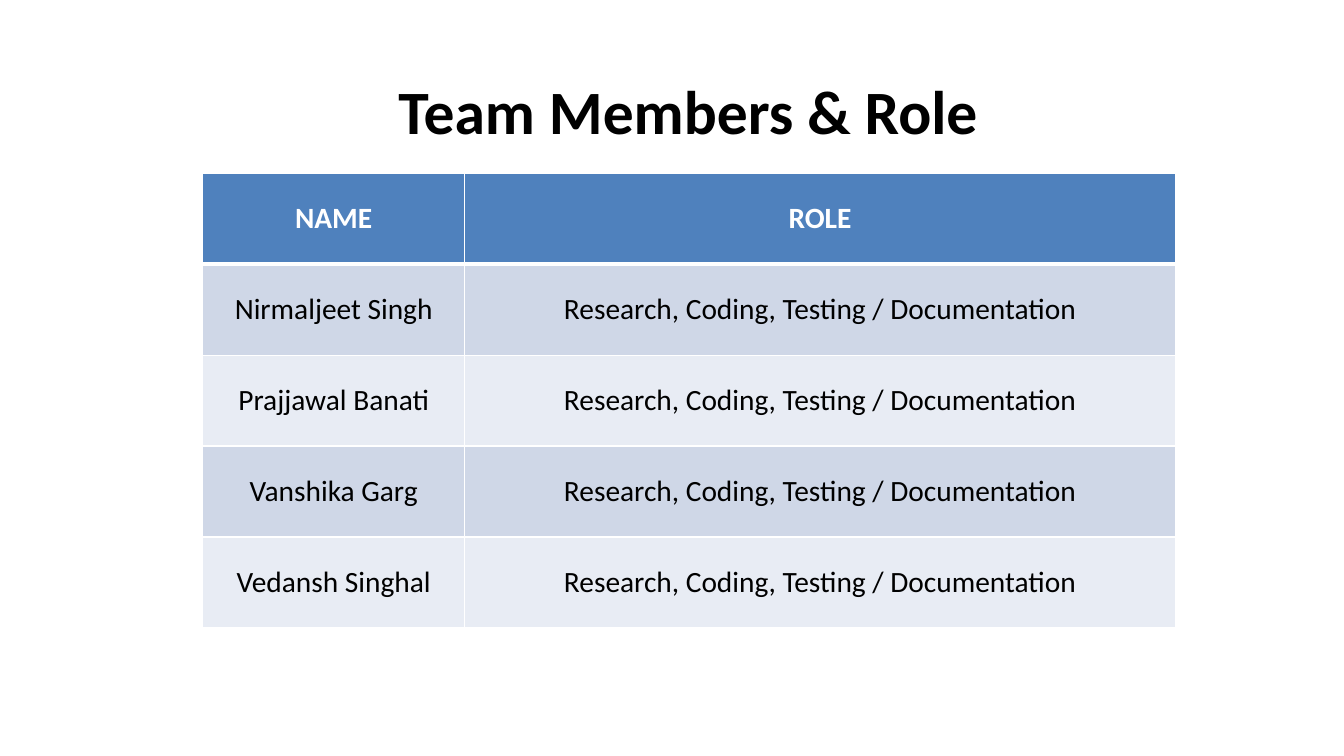
from dataclasses import dataclass

from lxml.etree import SubElement
from pptx import Presentation
from pptx.dml.color import RGBColor
from pptx.enum.text import MSO_ANCHOR, PP_ALIGN
from pptx.oxml.ns import qn
from pptx.util import Cm, Pt


@dataclass(frozen=True)
class Theme:
    font: str = "Calibri"
    title_size: int = 44
    table_size: int = 21
    text: str = "000000"
    header_text: str = "FFFFFF"
    header_fill: str = "4F81BD"
    bands: tuple = ("CFD7E7", "E8ECF4")
    border: str = "FFFFFF"
    thin: int = 1
    thick: int = 3


class SlideBuilder:
    def __init__(self, slide, theme):
        self.slide = slide
        self.theme = theme

    def centered_text(self, tf, text, size, color, bold):
        p = tf.paragraphs[0]
        p.alignment = PP_ALIGN.CENTER
        r = p.add_run()
        r.text = text
        font_format = {"name": self.theme.font, "size": Pt(size), "bold": bold}
        for key, value in font_format.items():
            setattr(r.font, key, value)
        r.font.color.rgb = RGBColor.from_string(color)

    def title(self, text, left, top, width, height):
        sp = self.slide.shapes.add_textbox(Cm(left), Cm(top), Cm(width), Cm(height))
        tf = sp.text_frame
        frame_format = {"word_wrap": True, "vertical_anchor": MSO_ANCHOR.MIDDLE}
        for key, value in frame_format.items():
            setattr(tf, key, value)
        self.centered_text(tf, text, self.theme.title_size, self.theme.text, True)

    def borders(self, cell, widths):
        """Draw cell borders; widths maps side letters L, R, T, B to points."""
        tc_pr = cell._tc.get_or_add_tcPr()
        for side, width in widths.items():
            ln = SubElement(tc_pr, qn(f"a:ln{side}"), w=str(Pt(width)))
            fill = SubElement(ln, qn("a:solidFill"))
            SubElement(fill, qn("a:srgbClr"), val=self.theme.border)

    def cell(self, cell, text, row):
        theme = self.theme
        header = row == 0
        cell_format = {"vertical_anchor": MSO_ANCHOR.MIDDLE, "margin_left": 0,
                       "margin_right": 0, "margin_top": 0, "margin_bottom": 0}
        for key, value in cell_format.items():
            setattr(cell, key, value)
        self.borders(cell, {"L": theme.thin, "R": theme.thin,
                            "T": theme.thick if row == 1 else theme.thin,
                            "B": theme.thick if header else theme.thin})
        fill = theme.header_fill if header else theme.bands[(row - 1) % 2]
        cell.fill.solid()
        cell.fill.fore_color.rgb = RGBColor.from_string(fill)
        color = theme.header_text if header else theme.text
        self.centered_text(cell.text_frame, text, theme.table_size, color, header)

    def table(self, rows, left, top, col_widths, row_height):
        table = self.slide.shapes.add_table(
            len(rows), len(col_widths), Cm(left), Cm(top),
            Cm(sum(col_widths)), Cm(row_height * len(rows))).table
        for column, width in zip(table.columns, col_widths):
            column.width = Cm(width)
        for i, row in enumerate(rows):
            table.rows[i].height = Cm(row_height)
            for j, text in enumerate(row):
                self.cell(table.cell(i, j), text, i)


def main():
    prs = Presentation()
    prs.slide_width, prs.slide_height = Cm(33.87), Cm(19.05)
    s = SlideBuilder(prs.slides.add_slide(prs.slide_layouts[6]), Theme())

    members = ["Nirmaljeet Singh", "Prajjawal Banati", "Vanshika Garg", "Vedansh Singhal"]
    role = "Research, Coding, Testing / Documentation"
    rows = [("NAME", "ROLE")] + [(name, role) for name in members]

    s.title("Team Members & Role", 2.11, 1.19, 30.48, 3.18)
    s.table(rows, 5.11, 4.37, (6.6, 17.91), 2.29)
    prs.save("out.pptx")


if __name__ == "__main__":
    main()
